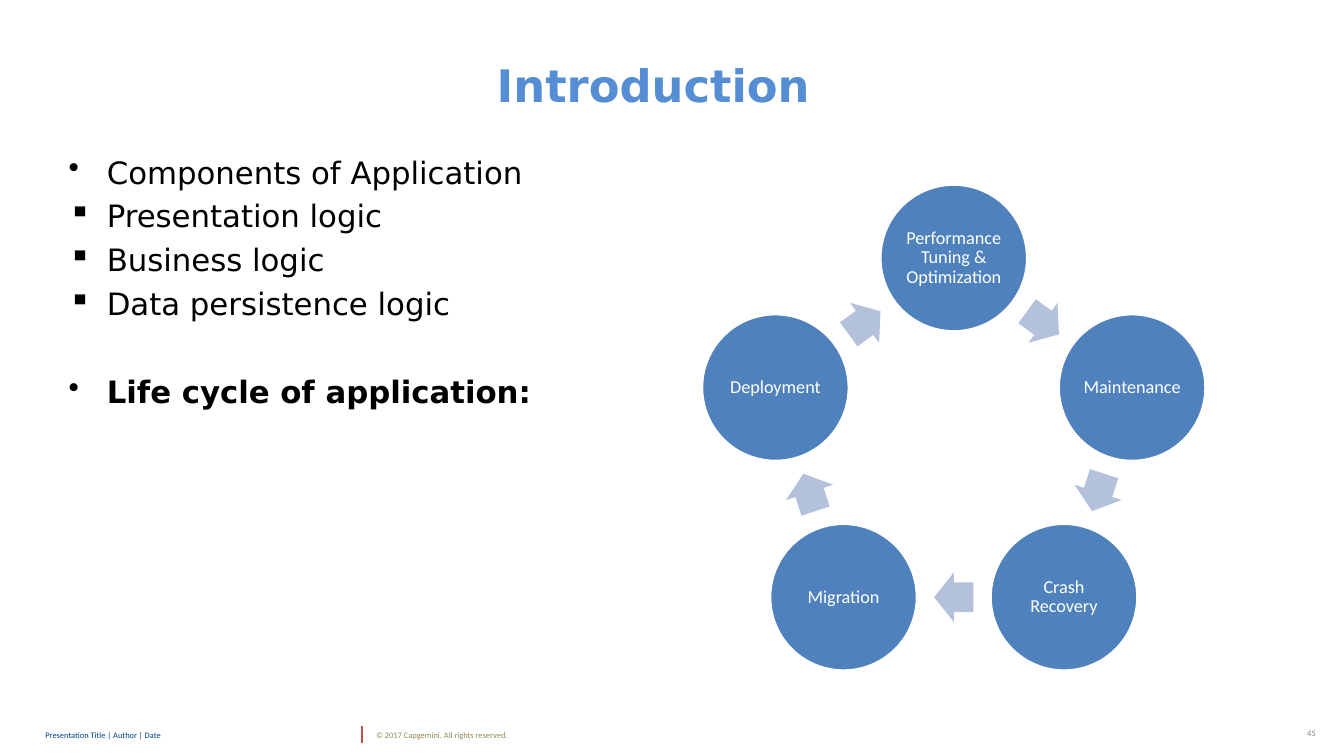
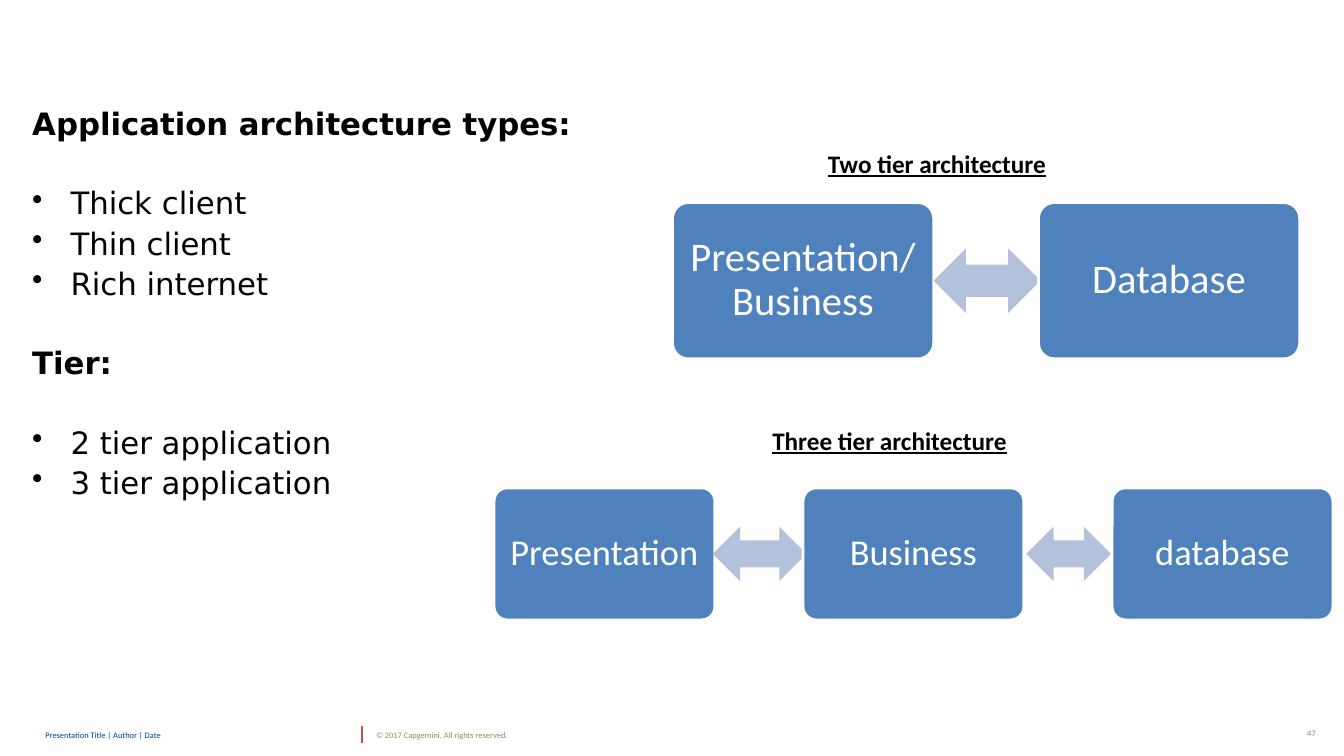
from math import cos, radians, sin

from lxml.etree import SubElement
from pptx import Presentation
from pptx.dml.color import RGBColor
from pptx.enum.shapes import MSO_CONNECTOR as Connector, MSO_SHAPE as Shape
from pptx.enum.text import MSO_ANCHOR as Anchor, PP_ALIGN as Align
from pptx.oxml.ns import qn
from pptx.util import Pt

PX = 9144

WHITE = RGBColor(0xFF, 0xFF, 0xFF)
BLACK = RGBColor(0x00, 0x00, 0x00)
BLUE = RGBColor(0x4F, 0x81, 0xBD)
PALE_BLUE = RGBColor(0xB3, 0xC1, 0xDB)
TITLE_BLUE = RGBColor(0x55, 0x8E, 0xD5)
NAVY = RGBColor(0x00, 0x45, 0x8D)
RED = RGBColor(0xC0, 0x50, 0x4D)
OLIVE = RGBColor(0x94, 0x8A, 0x54)
GRAY = RGBColor(0x80, 0x80, 0x80)

BODY_FONT = "DejaVu Sans"
LABEL_FONT = "Calibri"
BULLET_INDENT = 38

FOOTERS = [
    ("Presentation Title | Author | Date", 45, 309, NAVY),
    ("© 2017 Capgemini. All rights reserved.", 373, 243, OLIVE),
]

INTRODUCTION = [
    ("•", "Components of Application", False, 0),
    ("▪", "Presentation logic", False, 5),
    ("▪", "Business logic", False, 5),
    ("▪", "Data persistence logic", False, 5),
    ("•", "Life cycle of application:", True, 36),
]
LIFE_CYCLE = [
    "Performance Tuning & Optimization",
    "Maintenance",
    "Crash Recovery",
    "Migration",
    "Deployment",
]
CYCLE_X, CYCLE_Y, CYCLE_RADIUS = 946, 442, 186
STAGE_SIZE = 146

ARCHITECTURE_TYPES = [
    (None, "Application architecture types:", True, 0),
    ("•", "Thick client", False, 33),
    ("•", "Thin client", False, 5),
    ("•", "Rich internet", False, 5),
    (None, "Tier:", True, 33),
    ("•", "2 tier application", False, 33),
    ("•", "3 tier application", False, 5),
]
ARCHITECTURES = [
    {
        "heading": ("Two tier architecture", 811, 142, 238),
        "tiers": ["Presentation/\nBusiness", "Database"],
        "left": 667, "top": 201, "width": 259, "height": 155, "pitch": 363,
        "links": [(926, 106)], "link_height": 64, "size": 29,
    },
    {
        "heading": ("Three tier architecture", 756, 417, 493),
        "tiers": ["Presentation", "Business", "database"],
        "left": 490, "top": 484, "width": 219, "height": 131, "pitch": 306.5,
        "links": [(707, 93), (1018, 84)], "link_height": 54, "size": 26,
    },
]


def emu(*lengths):
    return [round(length * PX) for length in lengths]


def style(paragraph, size, color, font=LABEL_FONT, bold=False, align=Align.LEFT):
    paragraph.alignment = align
    paragraph.font.size = Pt(size)
    paragraph.font.name = font
    paragraph.font.bold = bold
    paragraph.font.color.rgb = color


def set_insets(frame, inset):
    frame.margin_left = frame.margin_right = round(inset * PX)
    frame.margin_top = frame.margin_bottom = round(inset * PX)


def add_text_frame(slide, left, top, width, height, anchor=Anchor.TOP):
    frame = slide.shapes.add_textbox(*emu(left, top, width, height)).text_frame
    frame.word_wrap = True
    frame.vertical_anchor = anchor
    set_insets(frame, 0)
    return frame


def add_line_of_text(slide, text, left, top, width, height, size, color, **look):
    frame = add_text_frame(slide, left, top, width, height, Anchor.MIDDLE)
    paragraph = frame.paragraphs[0]
    paragraph.text = text
    style(paragraph, size, color, **look)
    return paragraph


def add_outline(slide, items, left, top, width, height, line_spacing):
    frame = add_text_frame(slide, left, top, width, height)
    for number, (bullet, text, bold, space_before) in enumerate(items):
        paragraph = frame.add_paragraph() if number else frame.paragraphs[0]
        paragraph.text = text
        if bullet:
            properties = paragraph._p.get_or_add_pPr()
            indent = BULLET_INDENT * PX
            properties.set("marL", str(indent))
            properties.set("indent", str(-indent))
            SubElement(properties, qn("a:buChar")).set("char", bullet)
        paragraph.line_spacing = line_spacing
        paragraph.space_before = Pt(space_before)
        style(paragraph, 22, BLACK, BODY_FONT, bold)


def add_filled(slide, kind, left, top, width, height, fill, adjustments=()):
    shape = slide.shapes.add_shape(kind, *emu(left, top, width, height))
    shape.shadow.inherit = False
    shape.fill.solid()
    shape.fill.fore_color.rgb = fill
    shape.line.fill.background()
    for index, value in enumerate(adjustments):
        shape.adjustments[index] = value
    return shape


def add_node(slide, kind, text, left, top, width, height, size, inset, adjustments=()):
    node = add_filled(slide, kind, left, top, width, height, BLUE, adjustments)
    node.line.color.rgb = WHITE
    node.line.width = Pt(2)
    frame = node.text_frame
    frame.word_wrap = True
    frame.vertical_anchor = Anchor.MIDDLE
    set_insets(frame, inset)
    paragraph = frame.paragraphs[0]
    paragraph.text = text
    paragraph.line_spacing = 0.9
    style(paragraph, size, WHITE, align=Align.CENTER)


def add_footer(slide, page):
    for text, left, width, color in FOOTERS:
        add_line_of_text(slide, text, left, 717, width, 24, 6, color)
    add_line_of_text(slide, page, 1265, 716, 40, 22, 6, GRAY, align=Align.RIGHT)
    divider = slide.shapes.add_connector(Connector.STRAIGHT, *emu(359, 737, 359, 720))
    divider.line.color.rgb = RED
    divider.line.width = Pt(1)
    SubElement(divider._element.spPr, qn("a:effectLst"))


def add_title(slide, text):
    title = slide.shapes.title
    title.left, title.top, title.width, title.height = emu(26, 29, 1244, 110)
    title.text_frame.vertical_anchor = Anchor.MIDDLE
    paragraph = title.text_frame.paragraphs[0]
    paragraph.text = text
    style(paragraph, 32, TITLE_BLUE, BODY_FONT, True, Align.CENTER)


def orbit(radius, degrees):
    angle = radians(degrees)
    return CYCLE_X + radius * sin(angle), CYCLE_Y - radius * cos(angle)


def add_life_cycle(slide):
    step = 360 / len(LIFE_CYCLE)
    arrow_radius = CYCLE_RADIUS * cos(radians(step / 2))
    arrow_width, arrow_height = 39, 49
    for number, stage in enumerate(LIFE_CYCLE):
        x, y = orbit(CYCLE_RADIUS, number * step)
        add_node(slide, Shape.OVAL, stage, x - STAGE_SIZE / 2, y - STAGE_SIZE / 2,
                 STAGE_SIZE, STAGE_SIZE, 13, 2)
        turn = (number + 0.5) * step
        x, y = orbit(arrow_radius, turn)
        arrow = add_filled(slide, Shape.RIGHT_ARROW, x - arrow_width / 2,
                           y - arrow_height / 2, arrow_width, arrow_height,
                           PALE_BLUE, (0.6, 0.5))
        arrow.rotation = turn


def add_architecture(slide, plan):
    text, left, top, width = plan["heading"]
    heading = add_line_of_text(slide, text, left + 10, top, width - 20, 40,
                               18, BLACK, bold=True)
    heading.font.underline = True
    link_top = plan["top"] + (plan["height"] - plan["link_height"]) / 2
    for number, tier in enumerate(plan["tiers"]):
        if number:
            link_left, link_width = plan["links"][number - 1]
            add_filled(slide, Shape.LEFT_RIGHT_ARROW, link_left, link_top,
                       link_width, plan["link_height"], PALE_BLUE)
        add_node(slide, Shape.ROUNDED_RECTANGLE, tier,
                 plan["left"] + number * plan["pitch"], plan["top"],
                 plan["width"], plan["height"], plan["size"], 8, (0.1,))


def main():
    deck = Presentation()
    deck.slide_width, deck.slide_height = emu(1333, 750)
    title_only, blank = deck.slide_layouts[5], deck.slide_layouts[6]

    introduction = deck.slides.add_slide(title_only)
    add_footer(introduction, "45")
    add_title(introduction, "Introduction")
    add_outline(introduction, INTRODUCTION, 68, 152, 600, 515, 1.0)
    add_life_cycle(introduction)

    architecture = deck.slides.add_slide(blank)
    add_footer(architecture, "47")
    add_outline(architecture, ARCHITECTURE_TYPES, 32, 108, 790, 403, 0.9)
    for plan in ARCHITECTURES:
        add_architecture(architecture, plan)

    deck.save("out.pptx")


if __name__ == "__main__":
    main()
